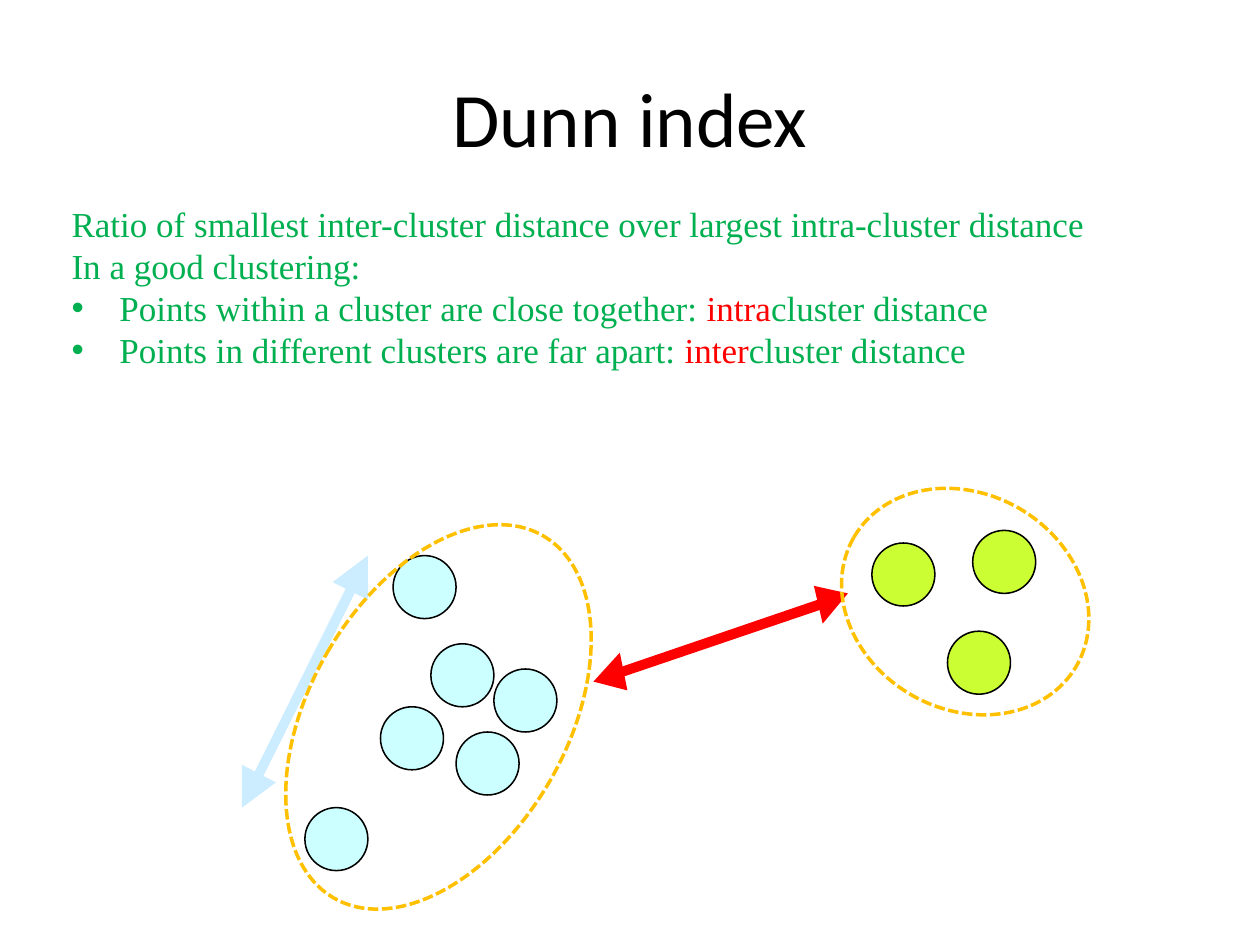
from dataclasses import dataclass

from lxml import etree
from pptx import Presentation
from pptx.dml.color import RGBColor
from pptx.enum.dml import MSO_LINE
from pptx.enum.shapes import MSO_SHAPE
from pptx.enum.text import MSO_ANCHOR, PP_ALIGN
from pptx.oxml.ns import qn
from pptx.util import Inches, Pt

OVAL = MSO_SHAPE.OVAL
DASH = MSO_LINE.SQUARE_DOT
CENTER = PP_ALIGN.CENTER
MIDDLE = MSO_ANCHOR.MIDDLE


@dataclass(frozen=True)
class Theme:
    title_font: str = "Calibri"
    body_font: str = "Times New Roman"
    title_size: int = 44
    body_size: int = 20
    title: str = "000000"
    body: str = "00B050"
    accent: str = "FF0000"
    outline: str = "000000"
    boundary: str = "FFC000"
    left_point: str = "CCFFFF"
    right_point: str = "CCFF33"
    intra_arrow: str = "CCECFF"


theme = Theme()
rgb = RGBColor.from_string

prs = Presentation()
prs.slide_width, prs.slide_height = Inches(10), Inches(7.5)
slide = prs.slides.add_slide(prs.slide_layouts[6])


def add_run(paragraph, text, font, size, color):
    run = paragraph.add_run()
    run.text = text
    run.font.name, run.font.size = font, Pt(size)
    run.font.color.rgb = rgb(color)


def add_oval(left, top, width, height, line_color, line_width):
    oval = slide.shapes.add_shape(OVAL, *map(Inches, (left, top, width, height)))
    oval.shadow.inherit = False
    oval.line.color.rgb = rgb(line_color)
    oval.line.width = Pt(line_width)
    return oval


# Explanation: (bulleted, runs of text and colour)
explanation = [
    (False, [("Ratio of smallest inter-cluster distance over largest intra-cluster distance", theme.body)]),
    (False, [("In a good clustering:", theme.body)]),
    (True, [("Points within a cluster are close together: ", theme.body),
            ("intra", theme.accent), ("cluster distance", theme.body)]),
    (True, [("Points in different clusters are far apart: ", theme.body),
            ("inter", theme.accent), ("cluster distance", theme.body)]),
]
body = slide.shapes.add_textbox(*map(Inches, (0.47, 1.56, 9.33, 1.78))).text_frame
body.word_wrap = True
for index, (bulleted, pieces) in enumerate(explanation):
    paragraph = body.paragraphs[0] if index == 0 else body.add_paragraph()
    if bulleted:
        props = paragraph._p.get_or_add_pPr()
        props.set("marL", str(Inches(0.38)))
        props.set("indent", str(-Inches(0.38)))
        etree.SubElement(props, qn("a:buFont")).set("typeface", "Arial")
        etree.SubElement(props, qn("a:buChar")).set("char", "•")
    for text, color in pieces:
        add_run(paragraph, text, theme.body_font, theme.body_size, color)

# Data points: (column, row) on a grid of tenths of an inch
STEP, GRID_LEFT, GRID_TOP, POINT_SIZE = 0.1, 2.42, 4.21, 0.5
clusters = [
    (theme.left_point, [(6, 14), (7, 2), (12, 16), (0, 22), (10, 9), (15, 11)]),
    (theme.right_point, [(45, 1), (51, 8), (53, 0)]),
]
for color, points in clusters:
    for column, row in points:
        point = add_oval(GRID_LEFT + column * STEP, GRID_TOP + row * STEP,
                         POINT_SIZE, POINT_SIZE, theme.outline, 0.88)
        point.fill.solid()
        point.fill.fore_color.rgb = rgb(color)

# Distance arrows: shaft and two heads each, grouped
arrows = [
    (theme.intra_arrow, [
        [(2.82, 4.7), (2.75, 4.66), (2.02, 6.13), (2.09, 6.16)],
        [(2.92, 4.76), (2.92, 4.41), (2.64, 4.62)],
        [(1.92, 6.07), (1.92, 6.41), (2.19, 6.21)],
    ]),
    (theme.accent, [
        [(6.51, 4.84), (6.49, 4.76), (4.94, 5.29), (4.95, 5.37)],
        [(6.53, 4.95), (6.73, 4.71), (6.46, 4.65)],
        [(4.92, 5.18), (4.71, 5.41), (4.98, 5.48)],
    ]),
]
for color, outlines in arrows:
    arrow = slide.shapes.add_group_shape()
    for outline in outlines:
        start, *corners = [(Inches(x), Inches(y)) for x, y in outline]
        builder = arrow.shapes.build_freeform(*start)
        builder.add_line_segments(corners, close=True)
        part = builder.convert_to_shape()
        part.shadow.inherit = False
        part.fill.solid()
        part.fill.fore_color.rgb = rgb(color)
        part.line.fill.background()

# Title
heading = slide.shapes.add_textbox(*map(Inches, (0.5, 0.3, 9, 1.25))).text_frame
heading.word_wrap = True
heading.vertical_anchor = MIDDLE
heading.paragraphs[0].alignment = CENTER
add_run(heading.paragraphs[0], "Dunn index", theme.title_font, theme.title_size, theme.title)

# Cluster boundaries
for bounds in [(2.46, 4.03, 2.04, 3.32), (6.64, 3.92, 2.04, 1.71)]:
    boundary = add_oval(*bounds, theme.boundary, 2)
    boundary.fill.background()
    boundary.line.dash_style = DASH
    boundary.rotation = 30

prs.save("out.pptx")
